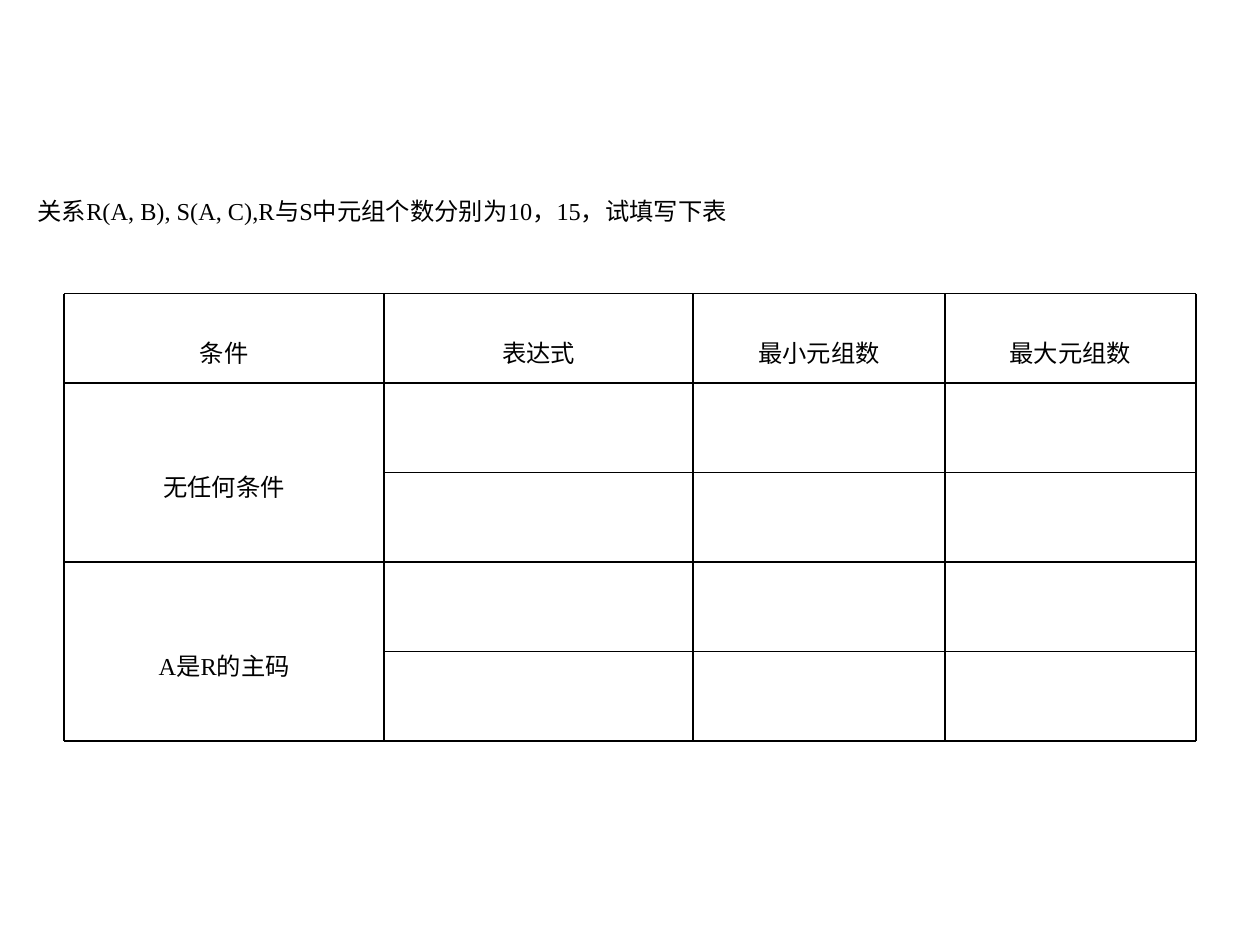
from itertools import accumulate

from lxml import etree
from pptx import Presentation
from pptx import util as u
from pptx.dml.color import RGBColor
from pptx.enum import shapes, text as t
from pptx.oxml import ns

BLACK = RGBColor(0, 0, 0)
FONT = {"name": "Times New Roman", "size": u.Pt(24)}
LOWER = "-25000"
XS = [round(x, 2) for x in accumulate((0.51, 2.54, 2.45, 2, 1.99))]
YS = [round(y, 2) for y in accumulate((2.33,) + (0.71,) * 5)]
LEFT, RIGHT = XS[0], XS[-1]
TOP, BASE = YS[0], YS[-1]
HEADS = ("条件", "表达式", "最小元组数", "最大元组数")
CASES = ("无任何条件", "A是R的主码")


def add_text(host, area, words, align, **form):
    box = host.shapes.add_textbox(*map(u.Inches, area))
    form = {"word_wrap": True, "vertical_anchor": t.MSO_ANCHOR.MIDDLE} | form
    for key, value in form.items():
        setattr(box.text_frame, key, value)
    para = box.text_frame.paragraphs[0]
    para.alignment = align
    run = para.add_run()
    run.text = words
    for key, value in FONT.items():
        setattr(run.font, key, value)
    run.font.color.rgb = BLACK
    run._r.get_or_add_rPr().set("baseline", LOWER)
    return box


def add_cell(group, col, row, span, words):
    area = (XS[col], YS[row], XS[col + 1] - XS[col], YS[row + span] - YS[row])
    return add_text(group, area, words, t.PP_ALIGN.CENTER)


def add_rule(group, *ends):
    rule = group.shapes.add_connector(
        shapes.MSO_CONNECTOR.STRAIGHT, *map(u.Inches, ends)
    )
    rule.line.color.rgb = BLACK
    rule.line.width = u.Pt(1)
    etree.SubElement(rule._element.spPr, ns.qn("a:effectLst"))
    return rule


def add_grid(slide):
    group = slide.shapes.add_group_shape()
    cases = [
        add_cell(group, 0, 1 + 2 * index, 2, words)
        for index, words in reversed(list(enumerate(CASES)))
    ]
    for col, words in reversed(list(enumerate(HEADS))):
        add_cell(group, col, 0, 1, words)
    for y in (TOP, BASE, YS[1], YS[3]):
        add_rule(group, LEFT, y, RIGHT, y)
    for x in XS:
        add_rule(group, x, TOP, x, BASE)
    for case, y in zip(reversed(cases), (YS[2], YS[4])):
        add_rule(group, XS[1], y, RIGHT, y).begin_connect(case, 3)


def main():
    deck = Presentation()
    deck.slide_width, deck.slide_height = u.Inches(10), u.Inches(7.5)
    slide = deck.slides.add_slide(deck.slide_layouts[6])
    add_text(
        slide,
        (0.2, 1.31, 9.64, 0.5),
        "关系R(A, B), S(A, C),R与S中元组个数分别为10，15，试填写下表",
        t.PP_ALIGN.LEFT,
        word_wrap=False,
        auto_size=t.MSO_AUTO_SIZE.SHAPE_TO_FIT_TEXT,
    )
    add_grid(slide)
    deck.save("out.pptx")


if __name__ == "__main__":
    main()
